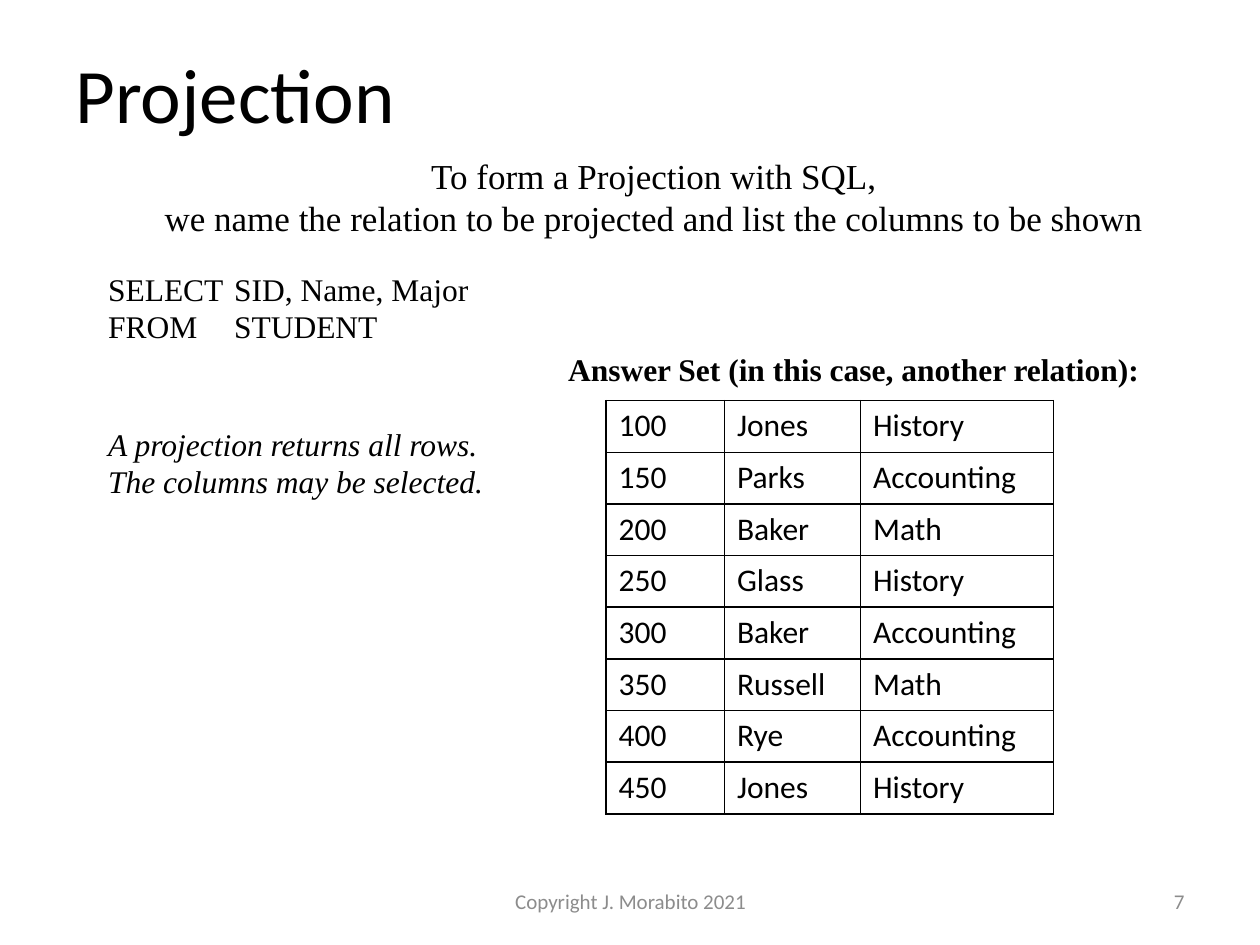
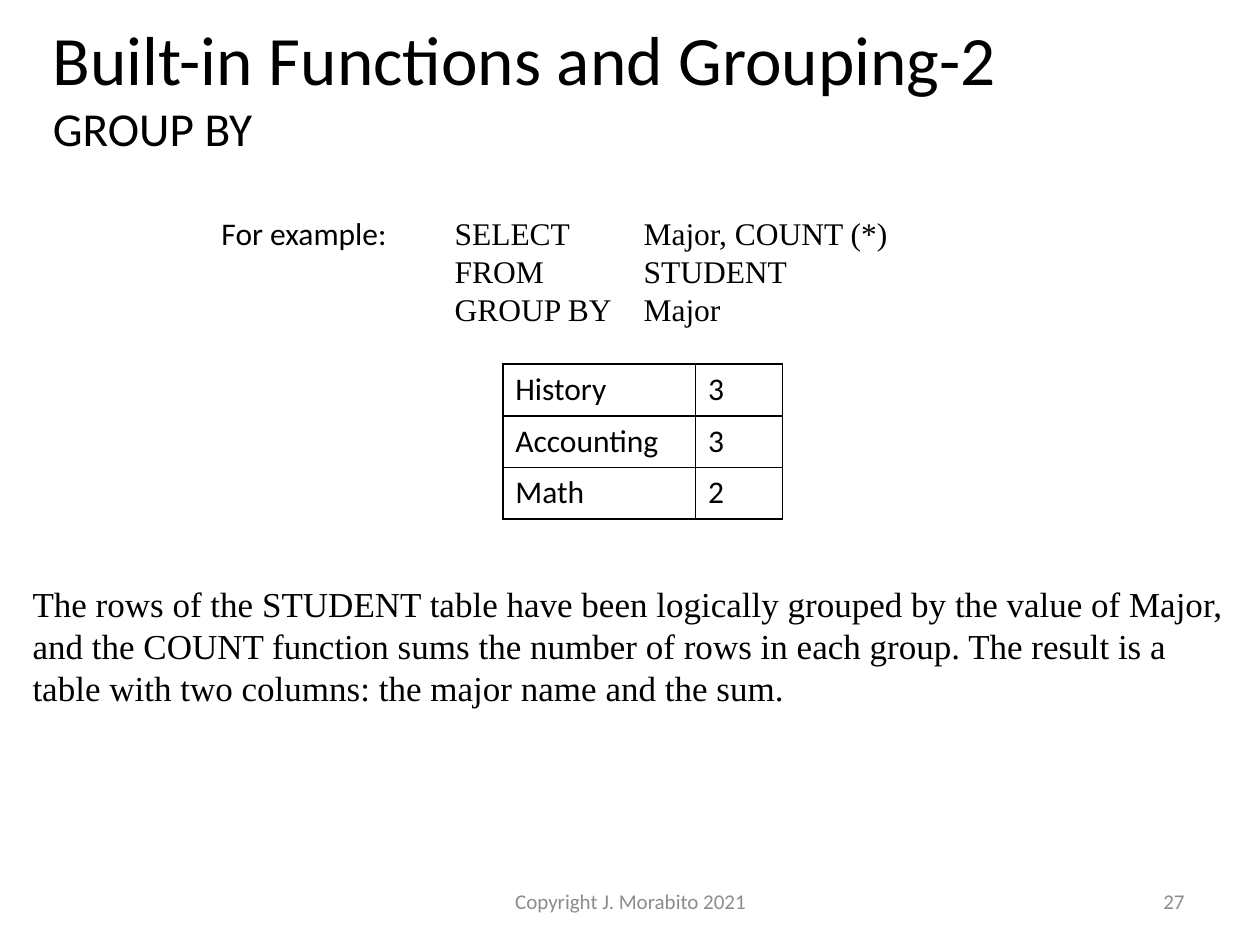
from dataclasses import dataclass, field

import pptx
import pptx.dml.color
import pptx.enum.text
import pptx.oxml
import pptx.oxml.ns
import pptx.util
from pptx.util import Inches

Align = pptx.enum.text.PP_ALIGN
Anchor = pptx.enum.text.MSO_ANCHOR
AutoSize = pptx.enum.text.MSO_AUTO_SIZE


# Colours, fonts and type sizes
@dataclass(frozen=True)
class Theme:
    ink: str = "000000"
    muted: str = "8C8C8C"
    sans: str = "Calibri"
    serif: str = "Times New Roman"
    title: float = 44
    long_title: float = 39.6
    subtitle: float = 27
    lead: float = 20
    text: float = 18
    footer: float = 12
    border: float = 1


THEME = Theme()
TITLE_ONLY = 5
ROW_HEIGHT = 0.41
TAB_STOPS = (1.0, 1.5)
COPYRIGHT = "Copyright J. Morabito 2021"


@dataclass(frozen=True)
class Style:
    name: str = THEME.serif
    size: float = THEME.text
    color: str = THEME.ink
    bold: bool = False
    italic: bool = False


PLAIN = Style()
SANS = Style(name=THEME.sans)
LEAD = Style(size=THEME.lead)
FOOTER = Style(name=THEME.sans, size=THEME.footer, color=THEME.muted)


@dataclass(frozen=True)
class Note:
    at: tuple[float, float, float, float]
    lines: tuple[str, ...]
    style: Style = PLAIN
    align: Align = Align.LEFT
    anchor: Anchor = Anchor.TOP
    wrap: bool = False
    grow: bool = True


@dataclass(frozen=True)
class Grid:
    left: float
    top: float
    columns: tuple[float, ...]
    rows: tuple[tuple[str, ...], ...]


@dataclass(frozen=True)
class Page:
    number: int
    title_at: tuple[float, float, float, float]
    title: tuple[tuple[str, float], ...]
    grid: Grid
    notes: tuple[Note, ...] = field(default=())


PAGES = (
    Page(
        number=7,
        title_at=(0.5, 0.17, 9, 1.13),
        title=(("Projection", THEME.title),),
        grid=Grid(4.81, 3.18, (0.94, 1.08, 1.53), (
            ("100", "Jones", "History"),
            ("150", "Parks", "Accounting"),
            ("200", "Baker", "Math"),
            ("250", "Glass", "History"),
            ("300", "Baker", "Accounting"),
            ("350", "Russell", "Math"),
            ("400", "Rye", "Accounting"),
            ("450", "Jones", "History"),
        )),
        notes=(
            Note((1.03, 1.18, 8.32, 0.77),
                 ("To form a Projection with SQL,",
                  "we name the relation to be projected and list the columns to be shown"),
                 LEAD, Align.CENTER, wrap=True),
            Note((0.76, 2.09, 3.06, 0.71),
                 ("SELECT\tSID, Name, Major", "FROM\tSTUDENT")),
            Note((4.41, 2.73, 4.78, 0.4),
                 ("Answer Set (in this case, another relation):",), Style(bold=True)),
            Note((0.76, 3.32, 3.3, 0.71),
                 ("A projection returns all rows.", "The columns may be selected."),
                 Style(italic=True)),
        ),
    ),
    Page(
        number=27,
        title_at=(0.32, 0.12, 9.42, 1.12),
        title=(("Built-in Functions and Grouping-2", THEME.long_title),
               ("GROUP BY", THEME.subtitle)),
        grid=Grid(3.99, 2.89, (1.53, 0.69), (
            ("History", "3"),
            ("Accounting", "3"),
            ("Math", "2"),
        )),
        notes=(
            Note((3.51, 1.65, 3.67, 1.01),
                 ("SELECT\t\tMajor, COUNT (*)", "FROM\t\tSTUDENT", "GROUP BY\tMajor")),
            Note((1.66, 1.65, 1.54, 0.4), ("For example:",), SANS),
            Note((0.16, 4.57, 9.72, 1.11),
                 ("The rows of the STUDENT table have been logically grouped by the value "
                  "of Major, and the COUNT function sums the number of rows in each group. "
                  "The result is a table with two columns: the major name and the sum.",),
                 LEAD, wrap=True),
        ),
    ),
)


# Text helpers
def add_run(p, text: str, style: Style) -> None:
    r = p.add_run()
    r.text = text
    formats = {"name": style.name, "size": pptx.util.Pt(style.size),
               "bold": style.bold, "italic": style.italic}
    for key, value in formats.items():
        setattr(r.font, key, value)
    r.font.color.rgb = pptx.dml.color.RGBColor.from_string(style.color)


def add_tabs(p) -> None:
    tabs = pptx.oxml.parse_xml(f'<a:tabLst {pptx.oxml.ns.nsdecls("a")}/>')
    for stop in TAB_STOPS:
        tabs.append(pptx.oxml.parse_xml(
            f'<a:tab {pptx.oxml.ns.nsdecls("a")} pos="{Inches(stop)}" algn="l"/>'))
    p._p.get_or_add_pPr().append(tabs)


def add_note(slide, note: Note) -> None:
    tf = slide.shapes.add_textbox(*map(Inches, note.at)).text_frame
    formats = {"word_wrap": note.wrap, "vertical_anchor": note.anchor,
               "auto_size": AutoSize.SHAPE_TO_FIT_TEXT if note.grow else AutoSize.NONE}
    for key, value in formats.items():
        setattr(tf, key, value)
    for i, line in enumerate(note.lines):
        p = tf.add_paragraph() if i else tf.paragraphs[0]
        p.alignment = note.align
        if "\t" in line:
            add_tabs(p)
        add_run(p, line, note.style)


def set_title(slide, page: Page) -> None:
    sp = slide.shapes.title
    sp.left, sp.top, sp.width, sp.height = map(Inches, page.title_at)
    tf = sp.text_frame
    tf.auto_size = AutoSize.NONE
    tf.vertical_anchor = Anchor.MIDDLE
    p = tf.paragraphs[0]
    p.alignment = Align.LEFT
    for i, (text, size) in enumerate(page.title):
        if i:
            p.add_line_break()
        add_run(p, text, Style(name=THEME.sans, size=size))


# Table with thin borders and no fill
def set_borders(cell) -> None:
    tcPr = cell._tc.get_or_add_tcPr()
    for i, side in enumerate(("lnL", "lnR", "lnT", "lnB")):
        tcPr.insert(i, pptx.oxml.parse_xml(
            f'<a:{side} {pptx.oxml.ns.nsdecls("a")} w="{pptx.util.Pt(THEME.border)}">'
            f'<a:solidFill><a:srgbClr val="{THEME.ink}"/></a:solidFill></a:{side}>'))


def add_grid(slide, grid: Grid) -> None:
    size = (sum(grid.columns), ROW_HEIGHT * len(grid.rows))
    table = slide.shapes.add_table(
        len(grid.rows), len(grid.columns),
        *map(Inches, (grid.left, grid.top, *size))).table
    table.first_row = table.horz_banding = False
    for column, width in zip(table.columns, grid.columns):
        column.width = Inches(width)
    for row, values in zip(table.rows, grid.rows):
        row.height = Inches(ROW_HEIGHT)
        for cell, value in zip(row.cells, values):
            cell.fill.background()
            set_borders(cell)
            add_run(cell.text_frame.paragraphs[0], value, SANS)


# Footer shared by all slides
def add_footer(slide, number: int) -> None:
    for left, width, text, align in ((3.42, 3.17, COPYRIGHT, Align.CENTER),
                                     (7.17, 2.33, str(number), Align.RIGHT)):
        add_note(slide, Note((left, 6.95, width, 0.4), (text,), FOOTER, align,
                             Anchor.MIDDLE, wrap=True, grow=False))


def main() -> None:
    prs = pptx.Presentation()
    prs.slide_width, prs.slide_height = Inches(10), Inches(7.5)
    for page in PAGES:
        slide = prs.slides.add_slide(prs.slide_layouts[TITLE_ONLY])
        set_title(slide, page)
        for note in page.notes:
            add_note(slide, note)
        add_grid(slide, page.grid)
        add_footer(slide, page.number)
    prs.save("out.pptx")


if __name__ == "__main__":
    main()
